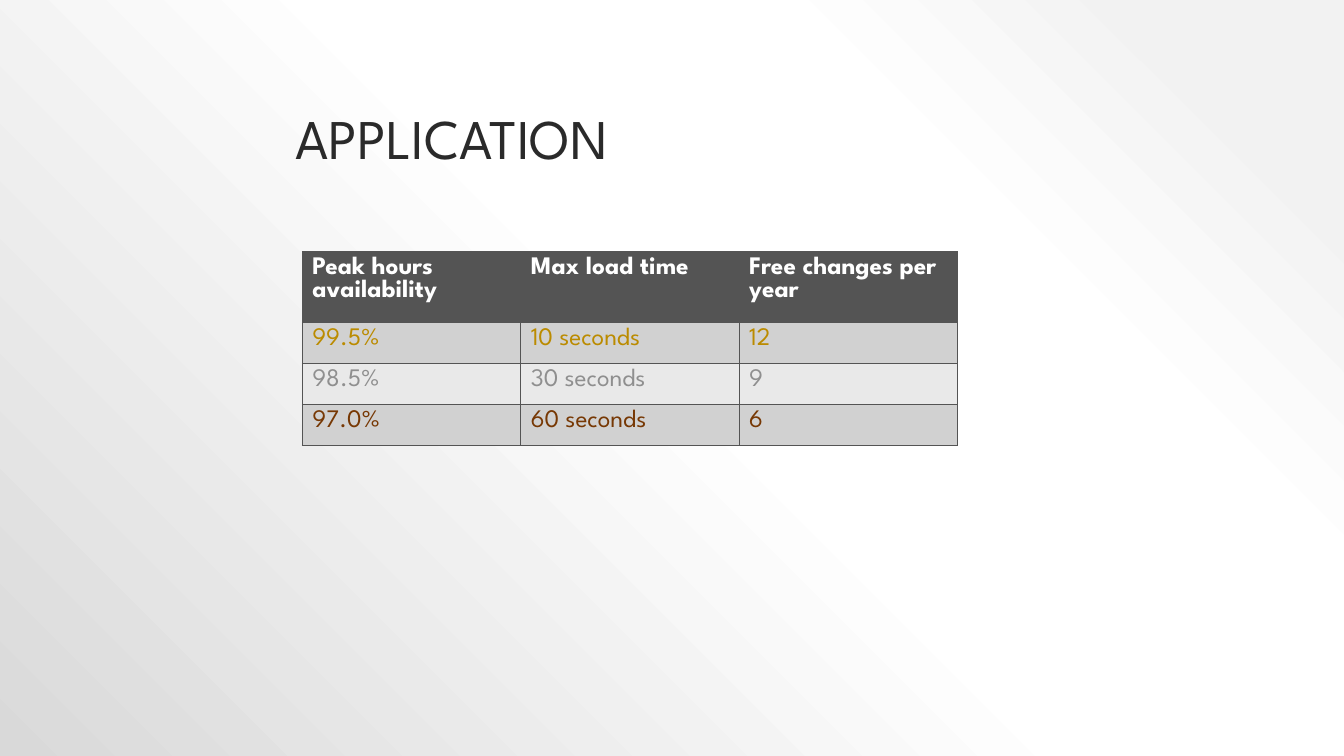
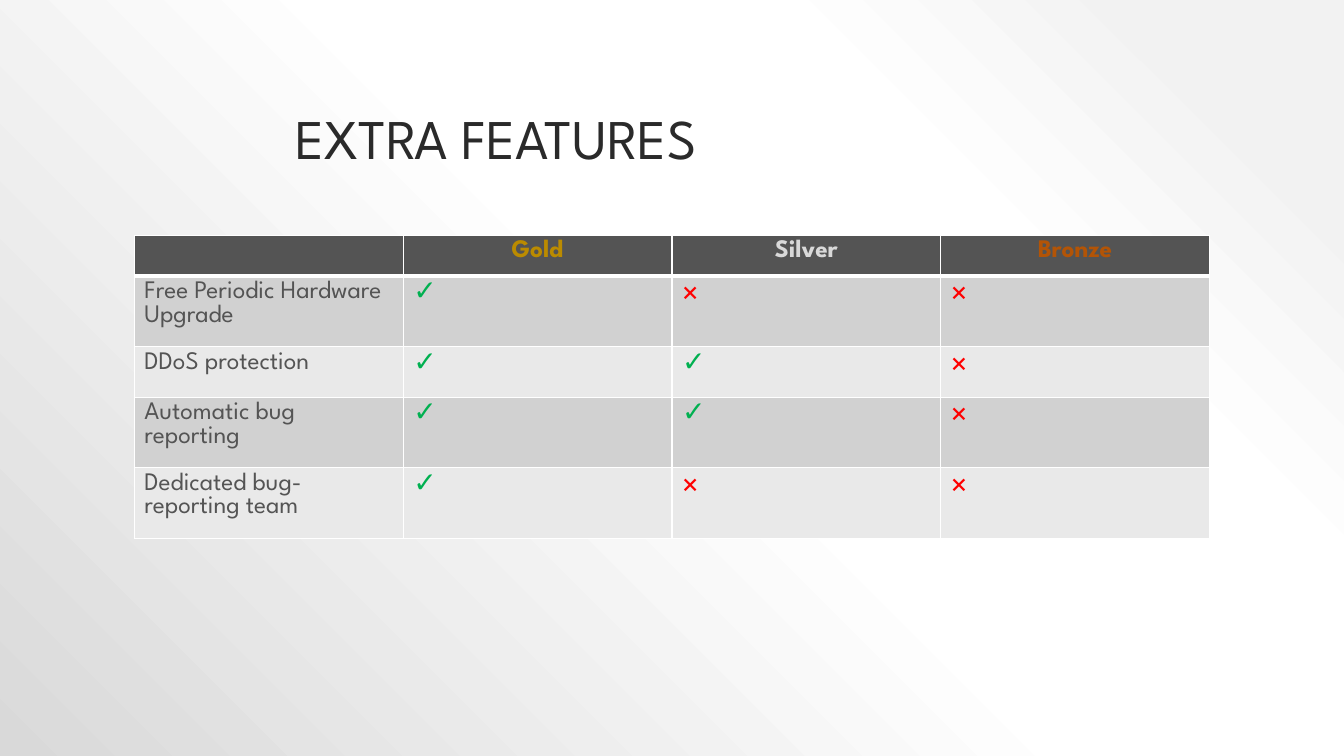
import pptx
import pptx.util
import pptx.oxml
import pptx.dml.color
import pptx.enum.text

Pt = pptx.util.Pt
NS = 'xmlns:a="http://schemas.openxmlformats.org/drawingml/2006/main"'
FONT = "League Spartan"
INK = {
    "title": "2A2A2A", "dark": "545454", "odd": "D1D1D1", "even": "E9E9E9",
    "white": "FFFFFF", "gold": "BB8B00", "gray": "8F8F8F", "brown": "773804",
    "silver": "D9D9D9", "bronze": "B35406", "yes": "00B050", "no": "FF0000",
}
GLOW = [(10, "F2F2F2"), (28, "FFFFFF"), (48, "FFFFFF"), (100, "D9D9D9")]


def write(frame, text, size=18, color="dark", bold=False, center=False, lead=None):
    """Put one formatted line of text into a text frame."""
    para = frame.paragraphs[0]
    para.line_spacing = lead
    if center:
        para.alignment = pptx.enum.text.PP_ALIGN.CENTER
    run = para.add_run()
    run.text = text
    run.font.name = FONT
    run.font.size = Pt(size)
    run.font.bold = bold
    run.font.color.rgb = pptx.dml.color.RGBColor.from_string(INK[color])


def build(title, left, top, width, rows, edge, rule):
    """Add a slide with a title and a table; rows hold (text, format) pairs."""
    slide = deck.slides.add_slide(deck.slide_layouts[6])
    box = slide.shapes.add_textbox(Pt(204), Pt(21.6), Pt(660), Pt(104.4))
    box.text_frame.word_wrap = True
    box.text_frame.vertical_anchor = pptx.enum.text.MSO_ANCHOR.BOTTOM
    write(box.text_frame, title, size=40, color="title", lead=0.9)

    count = len(rows[0])
    table = slide.shapes.add_table(len(rows), count, Pt(left), Pt(top),
                                   Pt(width), Pt(29.2 * len(rows))).table
    for col in table.columns:
        col.width = Pt(width / count)
    for y, row in enumerate(rows):
        for x, (text, style) in enumerate(row):
            cell = table.cell(y, x)
            props = cell._tc.get_or_add_tcPr()
            # The rule under the header is shared by the first two rows.
            sides = {"L": 1, "R": 1, "T": rule if y == 1 else 1,
                     "B": rule if y == 0 else 1}
            for side, thick in sides.items():
                props.append(pptx.oxml.parse_xml(
                    f'<a:ln{side} {NS} w="{Pt(thick)}"><a:solidFill>'
                    f'<a:srgbClr val="{INK[edge]}"/></a:solidFill></a:ln{side}>'))
            shade = "dark" if y == 0 else "odd" if y % 2 else "even"
            cell.fill.solid()
            cell.fill.fore_color.rgb = pptx.dml.color.RGBColor.from_string(INK[shade])
            if text:
                write(cell.text_frame, text, bold=y == 0, **style)


deck = pptx.Presentation()
deck.slide_width, deck.slide_height = Pt(960), Pt(540)

# Shared background: a glow that starts in the top right corner
master = deck.slide_master
master.background.fill.gradient()
old = master._element.find(".//{*}bgPr/{*}gradFill")
stops = "".join(f'<a:gs pos="{at * 1000}"><a:srgbClr val="{tone}"/></a:gs>'
                for at, tone in GLOW)
old.getparent().replace(old, pptx.oxml.parse_xml(
    f'<a:gradFill {NS} rotWithShape="1"><a:gsLst>{stops}</a:gsLst>'
    '<a:path path="circle"><a:fillToRect l="100000" b="100000"/></a:path>'
    '</a:gradFill>'))

# Application levels
heads = ["Peak hours availability", "Max load time", "Free changes per year"]
levels = [
    ("white", heads),
    ("gold", ["99.5%", "10 seconds", "12"]),
    ("gray", ["98.5%", "30 seconds", "9"]),
    ("brown", ["97.0%", "60 seconds", "6"]),
]
rows = [[(text, {"color": tone}) for text in texts] for tone, texts in levels]
build("APPLICATION", 216, 180, 468, rows, edge="dark", rule=1)

# Extra features by plan
marks = {"y": ("\u2713", {"size": 20, "color": "yes"}),
         "n": ("\u00d7", {"size": 24, "color": "no"})}
extras = [
    ("Free Periodic Hardware Upgrade", "ynn"),
    ("DDoS protection", "yyn"),
    ("Automatic bug reporting", "yyn"),
    ("Dedicated bug-reporting team", "ynn"),
]
rows = [[("", {})] + [(plan, {"color": plan.lower(), "center": True})
                      for plan in ("Gold", "Silver", "Bronze")]]
rows += [[(name, {})] + [marks[key] for key in keys] for name, keys in extras]
build("EXTRA FEATURES", 96, 168, 768, rows, edge="white", rule=3)

deck.save("out.pptx")
